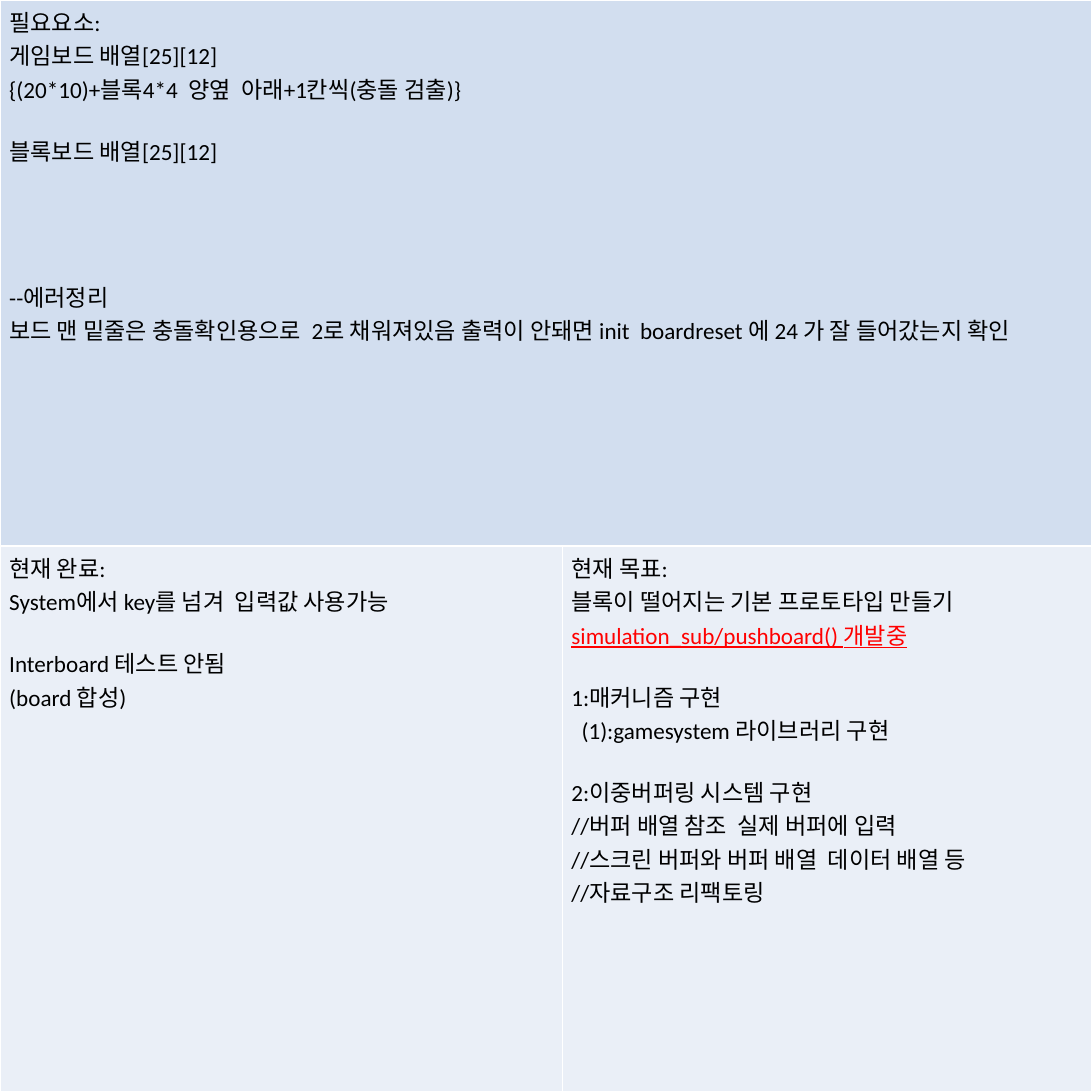
import pptx
import pptx.util
import pptx.dml.color

BLACK = pptx.dml.color.RGBColor(0x00, 0x00, 0x00)
RED = pptx.dml.color.RGBColor(0xFF, 0x00, 0x00)
BLUE = pptx.dml.color.RGBColor(0xD2, 0xDE, 0xEF)
PALE = pptx.dml.color.RGBColor(0xEA, 0xEF, 0xF7)

SIZE = pptx.util.Inches(11.81)
LINE = 22  # height of one skipped line, in points
IN_PROGRESS = "simulation_sub/pushboard() 개발중"
SUB_STEP = "(1):gamesystem 라이브러리 구현"

# Each cell: row, column, fill, and lines as (skipped lines above, text)
CELLS = [
    (0, 0, BLUE, [
        (0, "필요요소:"),
        (0, "게임보드 배열[25][12]"),
        (0, "{(20*10)+블록4*4  양옆  아래+1칸씩(충돌 검출)}"),
        (1, "블록보드 배열[25][12]"),
        (4, "--에러정리"),
        (0, "보드 맨 밑줄은 충돌확인용으로  2로 채워져있음 출력이 안돼면 "
            "init  boardreset 에 24 가 잘 들어갔는지 확인"),
    ]),
    (1, 0, PALE, [
        (0, "현재 완료:"),
        (0, "System에서 key를 넘겨  입력값 사용가능"),
        (1, "Interboard 테스트 안됨"),
        (0, "(board 합성)"),
    ]),
    (1, 1, PALE, [
        (0, "현재 목표:"),
        (0, "블록이 떨어지는 기본 프로토타입 만들기"),
        (0, IN_PROGRESS),
        (1, "1:매커니즘 구현"),
        (0, SUB_STEP),
        (1, "2:이중버퍼링 시스템 구현"),
        (0, "//버퍼 배열 참조  실제 버퍼에 입력"),
        (0, "//스크린 버퍼와 버퍼 배열  데이터 배열 등"),
        (0, "//자료구조 리팩토링"),
    ]),
]

prs = pptx.Presentation()
prs.slide_width = prs.slide_height = SIZE
s = prs.slides.add_slide(prs.slide_layouts[6])

# Table over the whole slide, top row merged
table = s.shapes.add_table(2, 2, 0, 0, SIZE, SIZE).table
table.first_row = False
table.horz_banding = False
table.columns[0].width = pptx.util.Inches(6.08)
table.columns[1].width = SIZE - table.columns[0].width
table.cell(0, 0).merge(table.cell(0, 1))

# Notes in each cell
for row, col, fill, lines in CELLS:
    cell = table.cell(row, col)
    cell.fill.solid()
    cell.fill.fore_color.rgb = fill
    tf = cell.text_frame
    tf.text = "\n".join(text for skipped, text in lines)
    for p, (skipped, text) in zip(tf.paragraphs, lines):
        if skipped:
            p.space_before = pptx.util.Pt(skipped * LINE)
        if text == SUB_STEP:
            p._p.get_or_add_pPr().set("marL", str(pptx.util.Inches(0.11)))
        for r in p.runs:
            r.font.name = "Calibri"
            r.font.size = pptx.util.Pt(18)
            r.font.color.rgb = RED if text == IN_PROGRESS else BLACK
            if text == IN_PROGRESS:
                r.font.underline = True

prs.save("out.pptx")
